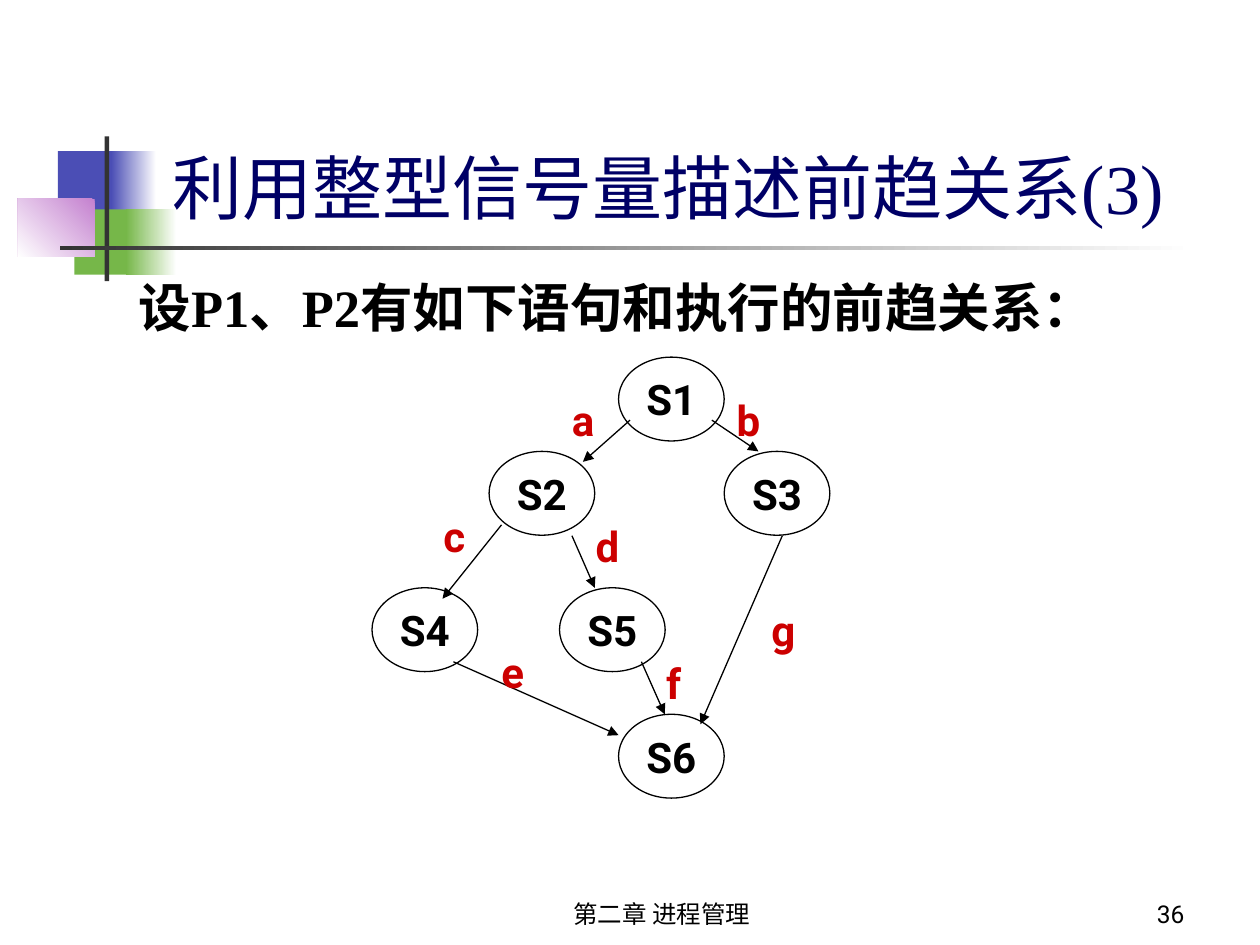
from lxml import etree
from pptx import Presentation
from pptx.dml.color import RGBColor
from pptx.enum.shapes import MSO_CONNECTOR, MSO_SHAPE
from pptx.enum.text import MSO_ANCHOR, MSO_AUTO_SIZE, PP_ALIGN
from pptx.oxml.ns import qn
from pptx.util import Cm, Pt

LEFT, CENTER, RIGHT = PP_ALIGN.LEFT, PP_ALIGN.CENTER, PP_ALIGN.RIGHT
TOP, MIDDLE, BOTTOM = MSO_ANCHOR.TOP, MSO_ANCHOR.MIDDLE, MSO_ANCHOR.BOTTOM
SERIF, SANS = "Times New Roman", "Roboto"

COLORS = {
    "black": "000000", "white": "FFFFFF", "navy": "000066", "red": "CC0000",
    "blue": "4B4EB5", "green": "76B749", "pink": "C481CF", "gray": "333333",
}

# Content, all positions in centimetres
TITLE = "利用整型信号量描述前趋关系(3)"
BODY = "设P1、P2有如下语句和执行的前趋关系："
FOOTER = "第二章 进程管理"
PAGE_NUMBER = "36"

# box, colours (one is solid, two are a gradient), clockwise angle
DECORATION = [
    ((1.17, 3.05, 1.22, 1.32), ["blue"], 0),
    ((2.24, 3.05, 0.91, 1.32), ["white", "blue"], 180),
    ((1.5, 4.22, 1.17, 1.32), ["green"], 0),
    ((2.54, 4.22, 1.02, 1.32), ["white", "green"], 180),
    ((0.36, 4.01, 1.55, 1.17), ["pink", "white"], 135),
    ((2.11, 2.75, 0.09, 2.92), ["gray"], 0),
    ((1.22, 4.95, 22.86, 0.09), ["white", "gray"], 180),
]

NODE_SIZE = (2.13, 1.69)
NODES = {
    "S1": (12.47, 7.2), "S2": (9.86, 9.1), "S3": (14.6, 9.1),
    "S4": (7.5, 11.85), "S5": (11.28, 11.85), "S6": (12.47, 14.4),
}

LABEL_SIZE = (0.94, 1.27)
# label: start, end, label corner
EDGES = {
    "a": ((12.7, 8.47), (11.75, 9.31), (11.28, 7.83)),
    "b": ((14.35, 8.47), (15.29, 9.1), (14.6, 7.83)),
    "c": ((10.11, 10.58), (8.92, 12.07), (8.69, 10.16)),
    "d": ((11.53, 10.8), (11.99, 11.85), (11.76, 10.37)),
    "e": ((9.14, 13.34), (12.47, 14.82), (9.86, 12.91)),
    "f": ((12.93, 13.34), (13.4, 14.4), (13.18, 13.13)),
    "g": ((15.77, 10.8), (14.12, 14.6), (15.3, 12.07)),
}


def rgb(name):
    return RGBColor.from_string(COLORS[name])


def lengths(*values):
    return [Cm(value) for value in values]


def write(shape, text, size, font_name, color="black", bold=False,
          align=LEFT, anchor=TOP, wrap=True):
    frame = shape.text_frame
    frame.auto_size = MSO_AUTO_SIZE.NONE
    frame.word_wrap = wrap
    frame.vertical_anchor = anchor
    frame.text = text
    paragraph = frame.paragraphs[0]
    paragraph.alignment = align
    paragraph.space_before = Pt(0)
    font = paragraph.font
    font.name, font.size, font.bold = font_name, Pt(size), bold
    font.color.rgb = rgb(color)
    return paragraph


def place(shape, left, top, width, height):
    shape.left, shape.top, shape.width, shape.height = lengths(
        left, top, width, height)


def add_decoration(slide, box, colors, angle):
    shape = slide.shapes.add_shape(MSO_SHAPE.RECTANGLE, *lengths(*box))
    shape.shadow.inherit = False
    shape.line.fill.background()
    if len(colors) == 1:
        shape.fill.solid()
        shape.fill.fore_color.rgb = rgb(colors[0])
        return
    shape.fill.gradient()
    shape.fill.gradient_angle = 360 - angle
    for stop, color in zip(shape.fill.gradient_stops, colors):
        stop.color.rgb = rgb(color)


def add_node(slide, name, corner):
    node = slide.shapes.add_shape(MSO_SHAPE.OVAL, *lengths(*corner, *NODE_SIZE))
    node.shadow.inherit = False
    node.fill.background()
    node.line.color.rgb = rgb("black")
    node.line.width = Pt(0.75)
    write(node, name, 24, SANS, bold=True, align=CENTER, anchor=MIDDLE, wrap=False)


def add_arrow(slide, start, end):
    arrow = slide.shapes.add_connector(
        MSO_CONNECTOR.STRAIGHT, *lengths(*start, *end))
    arrow.line.color.rgb = rgb("black")
    arrow.line.width = Pt(0.75)
    etree.SubElement(arrow.line._get_or_add_ln(), qn("a:tailEnd"), type="triangle")
    etree.SubElement(arrow._element.spPr, qn("a:effectLst"))


def add_text(slide, box, *args, **options):
    write(slide.shapes.add_textbox(*lengths(*box)), *args, **options)


def main():
    presentation = Presentation()
    presentation.slide_width, presentation.slide_height = lengths(25.4, 19.05)
    slide = presentation.slides.add_slide(presentation.slide_layouts[1])

    # Corner squares and rules
    for box, colors, angle in DECORATION:
        add_decoration(slide, box, colors, angle)

    # Title and statement; the title box is wide enough for a single line
    title, body = slide.shapes.title, slide.placeholders[1]
    place(title, 3.23, 2.79, 21.4, 1.96)
    write(title, TITLE, 40, SERIF, "navy")
    place(body, 2.54, 5.28, 22.02, 1.47)
    paragraph = write(body, BODY, 30, SERIF, bold=True)
    paragraph.line_spacing = 1.1
    properties = paragraph._p.get_or_add_pPr()
    properties.set("marL", str(Cm(1.04)))
    properties.set("indent", str(-Cm(1.04)))
    properties.insert_element_before(
        properties.makeelement(qn("a:buNone"), {}), "a:tabLst", "a:defRPr")

    # Precedence graph
    for name, corner in NODES.items():
        add_node(slide, name, corner)
    for start, end, _ in EDGES.values():
        add_arrow(slide, start, end)
    for label, (_, _, corner) in EDGES.items():
        add_text(slide, (*corner, *LABEL_SIZE), label, 24, SANS, "red", bold=True)

    # Footer and page number
    add_text(slide, (9.32, 17.58, 8.05, 1.27), FOOTER, 14, SANS,
             align=CENTER, anchor=BOTTOM)
    add_text(slide, (18.85, 17.58, 5.28, 1.27), PAGE_NUMBER, 14, SANS,
             align=RIGHT, anchor=BOTTOM)

    presentation.save("out.pptx")


if __name__ == "__main__":
    main()
